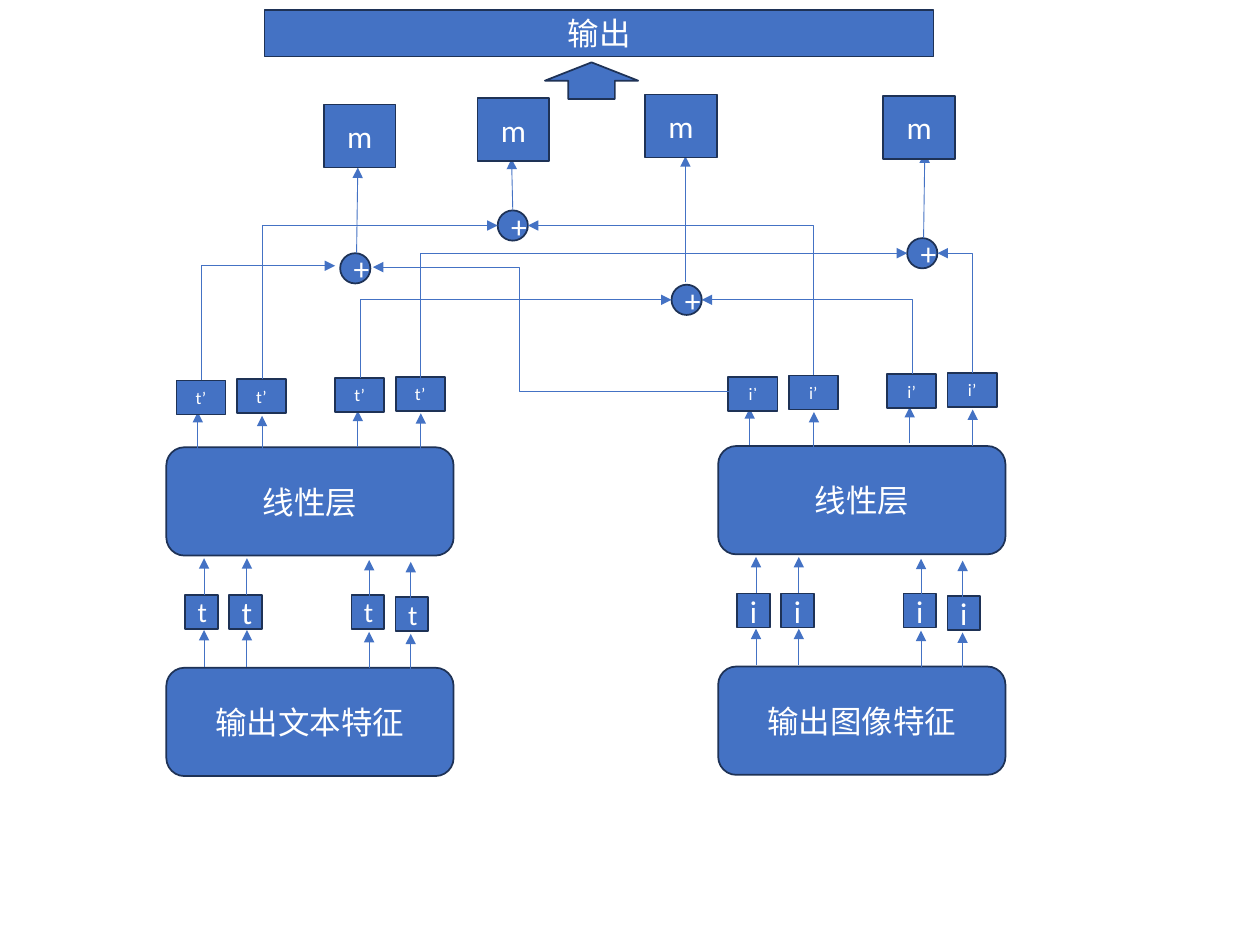
from pptx import Presentation
from pptx.dml.color import RGBColor as Rgb
from pptx.enum.shapes import MSO_CONNECTOR as Conn, MSO_SHAPE as Form
from pptx.enum.text import MSO_ANCHOR as Anchor, PP_ALIGN as Align
from pptx.oxml.ns import qn
from pptx.oxml.xmlchemy import OxmlElement as Node
from pptx.util import Inches, Pt

COLS, ROWS = 100, 75  # grid of the slide
WIDE, HIGH = Inches(10), Inches(7.5)
HUES = {"fill": "4472C4", "edge": "1E3256", "text": "FFFFFF"}
FONT = "Calibri"


def hue(name):
    return Rgb.from_string(HUES[name])


def col(n):
    return round(n * WIDE / COLS)


def row(n):
    return round(n * HIGH / ROWS)


def write(shape, text, size=18, color="text", align=Align.CENTER):
    frame = shape.text_frame
    frame.word_wrap = True
    frame.vertical_anchor = Anchor.MIDDLE
    para = frame.paragraphs[0]
    para.alignment = align
    run = para.add_run()
    run.text = text
    run.font.name = FONT
    run.font.size = Pt(size)
    run.font.color.rgb = hue(color)


def block(slide, form, x, y, w, h, text="", size=18):
    shape = slide.shapes.add_shape(form, col(x), row(y), col(w), row(h))
    shape.shadow.inherit = False
    shape.fill.solid()
    shape.fill.fore_color.rgb = hue("fill")
    shape.line.color.rgb = hue("edge")
    shape.line.width = Pt(1)
    if text:
        write(shape, text, size=size)
    return shape


def arrow(slide, x1, y1, x2, y2, kind=Conn.STRAIGHT):
    wire = slide.shapes.add_connector(kind, col(x1), row(y1), col(x2), row(y2))
    wire.line.color.rgb = hue("fill")
    wire.line.width = Pt(0.5)
    tip = Node("a:tailEnd")
    tip.set("type", "triangle")
    wire.line._get_or_add_ln().append(tip)
    wire._element.spPr.append(Node("a:effectLst"))
    return wire


def corner(slide, x1, y1, x2, y2):
    """Wire that goes up from the start, then sideways to the end."""
    w, h = y1 - y2, abs(x2 - x1)
    left, top = (x1 + x2 - w) / 2, (y1 + y2 - h) / 2
    wire = arrow(slide, left, top, left + w, top + h, Conn.ELBOW)
    props = wire._element.spPr
    props.find(qn("a:prstGeom")).set("prst", "bentConnector2")
    frame = props.find(qn("a:xfrm"))
    frame.set("flipV", "1")
    if x2 > x1:
        frame.set("flipH", "1")
    frame.set("rot", str((90 if x2 > x1 else 270) * 60000))


def dogleg(slide, x1, y1, x2, y2, share):
    """Wire that goes sideways, up at the given share, then sideways."""
    wire = arrow(slide, x1, y1, x2, y2, Conn.ELBOW)
    guide = Node("a:gd")
    guide.set("name", "adj1")
    guide.set("fmla", f"val {round(share * 100000)}")
    geom = wire._element.spPr.find(qn("a:prstGeom"))
    geom.get_or_add_avLst().append(guide)


def branch(slide, box, title, mark, sizes, lift):
    """Feature block, tokens, linear layer and projected tokens."""
    x, y, w, h = box
    deep, rise = 8.6, 2.9

    # Input features and their tokens
    block(slide, Form.ROUNDED_RECTANGLE, x, y + h - deep, w, deep, title)
    stems = list(zip((3, 6.4, 16.1, 19.4), (0, 0, 0.15, 0.3)))
    for dx, dip in stems:
        low = y + 17.4 + dip
        arrow(slide, x + dx, low, x + dx, low - rise)
    spots = zip((1.5, 5, 14.7, 18.2), (11.7, 11.7, 11.7, 11.9), sizes)
    for dx, dy, size in spots:
        block(slide, Form.RECTANGLE, x + dx, y + dy, 2.6, 2.7, mark, size)

    # Linear layer
    block(slide, Form.ROUNDED_RECTANGLE, x, y, w, deep, "线性层")
    for dx, dip in stems:
        low = y + 11.7 + dip
        arrow(slide, x + dx, low, x + dx, low - rise)

    # Projected tokens
    shift = 5.3 - lift
    for dx, dip in zip((2.5, 7.6, 15.2, 20.2), (0.1, 0.4, 0, 0.2)):
        low = y + dip + shift
        arrow(slide, x + dx, low, x + dx, low - rise)
    for n, dx in enumerate((0.8, 5.6, 13.4, 18.2)):
        block(slide, Form.RECTANGLE, x + dx, y - lift - n / 10, 3.9, 2.7,
              mark + "’", 10)


def fusion(slide, box):
    """Sums of text and image tokens, each feeding one m block."""
    x, y, w, h = box
    ball = 2.4
    # sum corner, text start, image start, arrow from and to, m corner
    nodes = [
        ((14, 13.1), (3, 23.2), (47.3, 24.1), (15.3, 13.1), (15.4, 6.3), (12.7, 1.3)),
        ((26.5, 9.7), (7.8, 23.1), (51.6, 22.8), (27.7, 9.7), (27.6, 5.6), (24.9, 0.8)),
        ((40.3, 15.6), (15.6, 23), (59.4, 22.7), (41.4, 15.4), (41.4, 5.4), (38.2, 0.5)),
        ((59, 11.9), (20.4, 23), (64.2, 22.6), (60.3, 11.9), (60.4, 5.1), (57.1, 0.6)),
    ]
    nodes = [[(x + dx, y + dy) for dx, dy in node] for node in nodes]

    for n, (ring, text, image, start, end, unit) in enumerate(nodes):
        block(slide, Form.OVAL, *ring, ball, ball, "+")
        mid = ring[1] + ball / 2
        if n:
            corner(slide, *text, ring[0], mid)
            corner(slide, *image, ring[0] + ball, mid)
        else:
            corner(slide, *text, ring[0] - 0.4, mid - 0.2)
            dogleg(slide, *image, ring[0] + ball + 0.2, mid - 0.1, 0.62)
        arrow(slide, *start, *end)
        block(slide, Form.RECTANGLE, *unit, 5.7, 5, "m")


def output(slide, box):
    """Output bar with the block arrow below it."""
    x, y, w, h = box
    head = block(slide, Form.RIGHT_ARROW, x + 24.5, y + 1.9, 2.9, 7.4)
    head.rotation = 270
    block(slide, Form.RECTANGLE, x, y, w, h, "输出")


def main():
    deck = Presentation()
    deck.slide_width, deck.slide_height = WIDE, HIGH
    slide = deck.slides.add_slide(deck.slide_layouts[6])
    branch(slide, (13.2, 35.5, 22.8, 26.1), "输出文本特征", "t",
           (16, 18, 16, 16), 5.3)
    branch(slide, (57, 35.4, 22.8, 26.1), "输出图像特征", "i", (18,) * 4, 5.5)
    fusion(slide, (13, 7, 66, 24))
    output(slide, (21, 0.8, 53.1, 3.7))
    deck.save("out.pptx")


if __name__ == "__main__":
    main()
